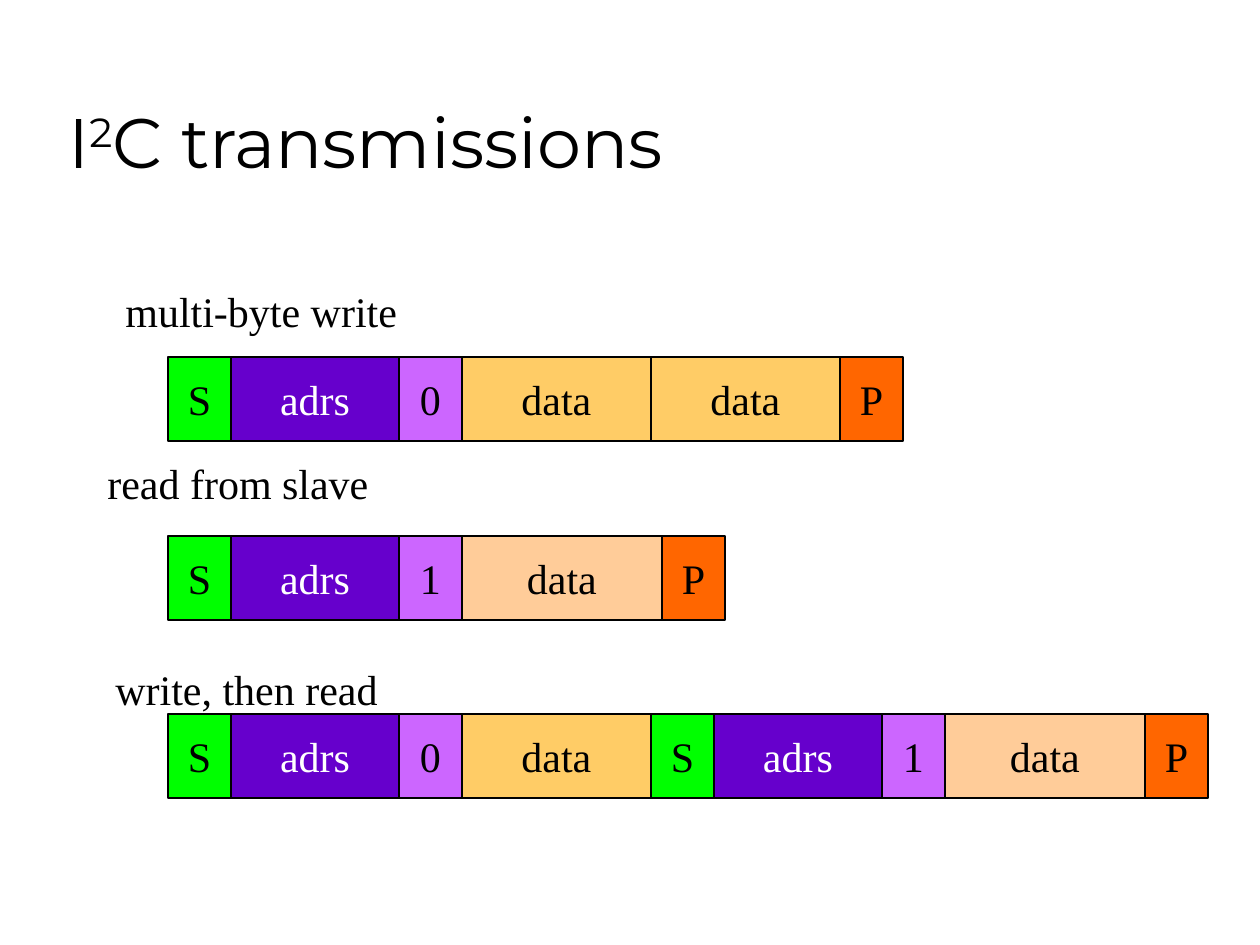
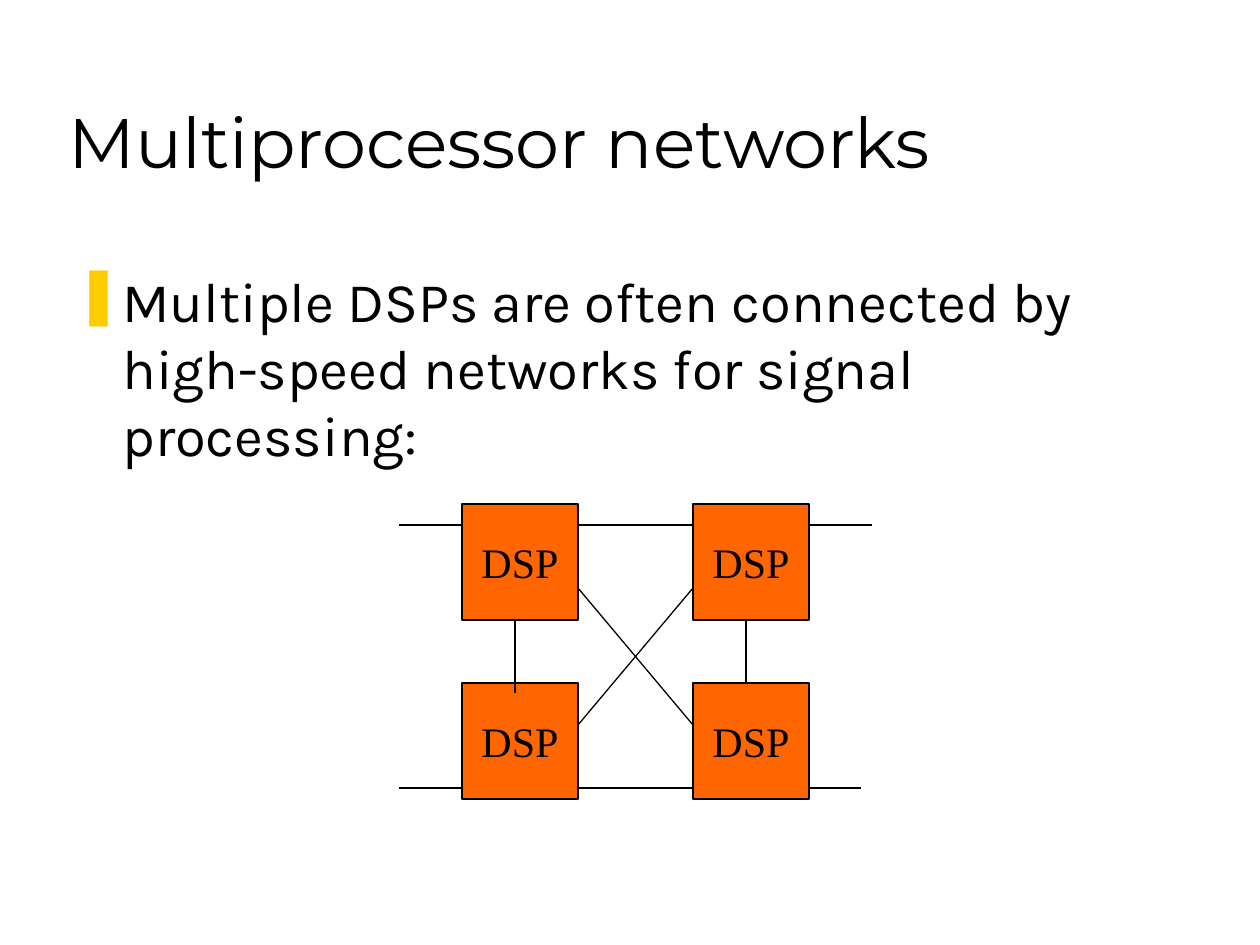
from dataclasses import dataclass

from lxml.etree import SubElement
from pptx import Presentation
from pptx.dml.color import RGBColor
from pptx.enum.shapes import MSO_CONNECTOR as Connector, MSO_SHAPE as Shape
from pptx.enum.text import MSO_ANCHOR as Anchor, MSO_AUTO_SIZE as AutoSize, PP_ALIGN as Align
from pptx.oxml.ns import qn
from pptx.util import Emu, Pt


@dataclass(frozen=True)
class Theme:
    black: str = "000000"
    white: str = "FFFFFF"
    green: str = "00FF00"
    purple: str = "6600CC"
    lilac: str = "CC66FF"
    amber: str = "FFCC66"
    peach: str = "FFCC99"
    orange: str = "FF6600"
    bullet: str = "FFCC00"
    title_font: str = "Montserrat"
    body_font: str = "Karla"
    diagram_font: str = "Times New Roman"
    title_size: int = 40
    body_size: int = 32
    diagram_size: int = 24
    line_width: float = 0.75


THEME = Theme()
EMU_PER_PX = 914400 / 126
SLIDE_SIZE = (1260, 945)
TITLE_AREA = (56, 32, 1071, 157)

# Each title part is (text, baseline shift in thousandths of a percent).
TRANSMISSIONS_TITLE = [("I", 0), ("2", 30000), ("C transmissions", 0)]
NETWORKS_TITLE = [("Multiprocessor networks", 0)]

# Field kind: (text, width, fill, text colour)
FIELDS = {
    "start": ("S", 63, THEME.green, THEME.black),
    "address": ("adrs", 168, THEME.purple, THEME.white),
    "write": ("0", 63, THEME.lilac, THEME.black),
    "read": ("1", 63, THEME.lilac, THEME.black),
    "data out": ("data", 189, THEME.amber, THEME.black),
    "data in": ("data", 200, THEME.peach, THEME.black),
    "stop": ("P", 63, THEME.orange, THEME.black),
}
FRAME_LEFT, FRAME_HEIGHT = 168, 84

# (label, label area, top of the frame, fields)
TRANSMISSIONS = [
    ("multi-byte write", (113, 279, 300, 63), 357,
     ["start", "address", "write", "data out", "data out", "stop"]),
    ("read from slave", (95, 451, 290, 63), 536,
     ["start", "address", "read", "data in", "stop"]),
    ("write, then read", (103, 657, 291, 63), 714,
     ["start", "address", "write", "data out", "start", "address", "read", "data in", "stop"]),
]

NETWORK_TEXT = "Multiple DSPs are often connected by high-speed networks for signal processing:"
NETWORK_TEXT_AREA = (63, 260, 1126, 575)
BULLET_INDENT = 47
DSP_SIDE = 116
DSP_COLUMNS = (462, 693)
DSP_ROWS = (504, 683)
BUS_LEFT = 399
BUSES = [(525, 872), (788, 861)]  # (height on the slide, right end)
CROSS_ROWS = (588, 725)
DROP_OFFSET = 53
DROP_ENDS = (693, 683)


def px(length):
    return Emu(round(length * EMU_PER_PX))


def area_emu(area):
    return [px(length) for length in area]


def set_all(target, **values):
    for name, value in values.items():
        setattr(target, name, value)


def add_span(para, text, font, size, color=THEME.black):
    span = para.add_run()
    span.text = text
    set_all(span.font, name=font, size=Pt(size))
    span.font.color.rgb = RGBColor.from_string(color)
    return span


def add_text_box(page, area, **frame_values):
    frame = page.shapes.add_textbox(*area_emu(area)).text_frame
    set_all(frame, **frame_values)
    return frame.paragraphs[0]


def add_page(deck, title_parts):
    page = deck.slides.add_slide(deck.slide_layouts[6])
    para = add_text_box(page, TITLE_AREA, word_wrap=True, vertical_anchor=Anchor.BOTTOM)
    for text, baseline in title_parts:
        span = add_span(para, text, THEME.title_font, THEME.title_size)
        if baseline:
            span._r.get_or_add_rPr().set("baseline", str(baseline))
    return page


def outline(line):
    line.color.rgb = RGBColor.from_string(THEME.black)
    line.width = Pt(THEME.line_width)


def add_block(page, area, text, fill, color=THEME.black):
    block = page.shapes.add_shape(Shape.RECTANGLE, *area_emu(area))
    block.shadow.inherit = False
    block.fill.solid()
    block.fill.fore_color.rgb = RGBColor.from_string(fill)
    outline(block.line)
    set_all(block.text_frame, word_wrap=False, vertical_anchor=Anchor.MIDDLE)
    para = block.text_frame.paragraphs[0]
    para.alignment = Align.CENTER
    add_span(para, text, THEME.diagram_font, THEME.diagram_size, color)


def add_wire(page, *ends):
    wire = page.shapes.add_connector(Connector.STRAIGHT, *area_emu(ends))
    outline(wire.line)
    SubElement(wire._element.spPr, qn("a:effectLst"))


def add_bullet(para):
    properties = para._p.get_or_add_pPr()
    indent = px(BULLET_INDENT)
    properties.set("marL", str(indent))
    properties.set("indent", str(-indent))
    color = SubElement(properties, qn("a:buClr"))
    SubElement(color, qn("a:srgbClr"), val=THEME.bullet)
    SubElement(properties, qn("a:buChar"), char="❚")


def build_transmissions(deck):
    page = add_page(deck, TRANSMISSIONS_TITLE)
    for label, label_area, top, fields in TRANSMISSIONS:
        para = add_text_box(page, label_area, word_wrap=False,
                            auto_size=AutoSize.SHAPE_TO_FIT_TEXT)
        add_span(para, label, THEME.diagram_font, THEME.diagram_size)
        left = FRAME_LEFT
        for field in fields:
            text, width, fill, color = FIELDS[field]
            add_block(page, (left, top, width, FRAME_HEIGHT), text, fill, color)
            left += width


def build_networks(deck):
    page = add_page(deck, NETWORKS_TITLE)
    para = add_text_box(page, NETWORK_TEXT_AREA, word_wrap=True)
    add_bullet(para)
    add_span(para, NETWORK_TEXT, THEME.body_font, THEME.body_size)

    for top in DSP_ROWS:
        for left in DSP_COLUMNS:
            add_block(page, (left, top, DSP_SIDE, DSP_SIDE), "DSP", THEME.orange)

    first, second = DSP_COLUMNS
    gap_left = first + DSP_SIDE
    for height, bus_right in BUSES:
        for start, end in [(BUS_LEFT, first), (gap_left, second),
                           (second + DSP_SIDE, bus_right)]:
            add_wire(page, start, height, end, height)
    upper, lower = CROSS_ROWS
    for start, end in [(upper, lower), (lower, upper)]:
        add_wire(page, gap_left, start, second, end)
    for left, bottom in zip(DSP_COLUMNS, DROP_ENDS):
        middle = left + DROP_OFFSET
        add_wire(page, middle, DSP_ROWS[0] + DSP_SIDE, middle, bottom)


def main():
    deck = Presentation()
    deck.slide_width, deck.slide_height = area_emu(SLIDE_SIZE)
    build_transmissions(deck)
    build_networks(deck)
    deck.save("out.pptx")


if __name__ == "__main__":
    main()
